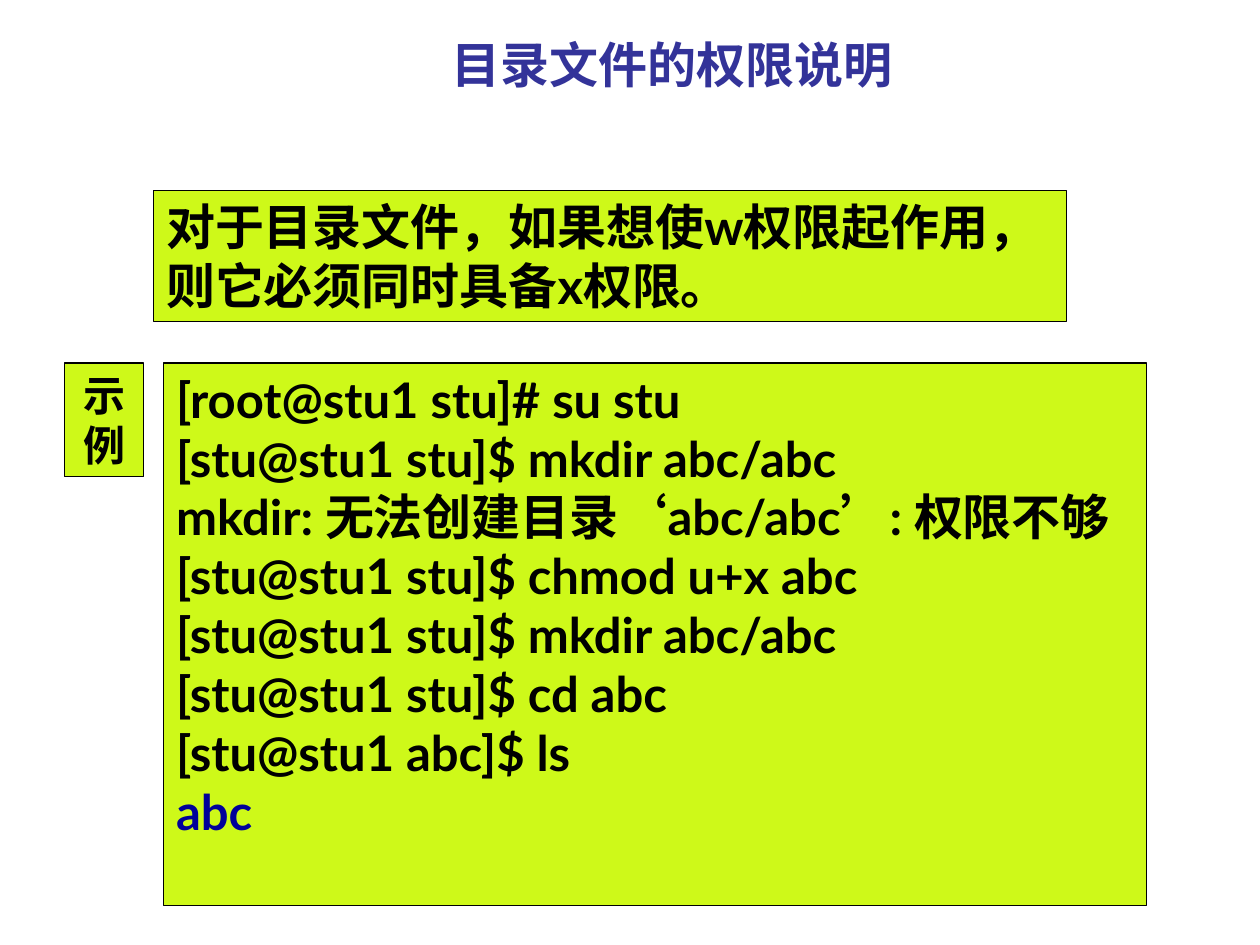
"""Build the slide on directory permissions."""
import dataclasses

import pptx
import pptx.dml.color
import pptx.enum.shapes
import pptx.enum.text
import pptx.util

Cm = pptx.util.Cm
Align = pptx.enum.text.PP_ALIGN
Anchor = pptx.enum.text.MSO_ANCHOR


@dataclasses.dataclass(frozen=True)
class Theme:
    heading: str = "333399"
    text: str = "000000"
    directory: str = "000099"
    panel: str = "CEF919"
    body_font: str = "Lato"
    serif_font: str = "Times New Roman"
    large: int = 28
    small: int = 24
    border: float = 0.75


class SlideBuilder:
    def __init__(self, slide, theme):
        self.slide = slide
        self.theme = theme

    def format_run(self, run, size, color, font):
        run.font.size = pptx.util.Pt(size)
        run.font.bold = True
        run.font.name = font
        run.font.color.rgb = pptx.dml.color.RGBColor.from_string(color)

    def title(self, text, left, top, width, height):
        shape = self.slide.shapes.add_textbox(Cm(left), Cm(top), Cm(width), Cm(height))
        frame = shape.text_frame
        frame.word_wrap = True
        frame.vertical_anchor = Anchor.MIDDLE
        frame.text = text
        paragraph = frame.paragraphs[0]
        paragraph.alignment = Align.CENTER
        self.format_run(paragraph.runs[0], self.theme.large, self.theme.heading,
                        self.theme.serif_font)

    def panel(self, lines, left, top, width, height, size, alignment=Align.LEFT):
        shape = self.slide.shapes.add_shape(
            pptx.enum.shapes.MSO_SHAPE.RECTANGLE, Cm(left), Cm(top), Cm(width), Cm(height))
        shape.shadow.inherit = False
        shape.fill.solid()
        shape.fill.fore_color.rgb = pptx.dml.color.RGBColor.from_string(self.theme.panel)
        shape.line.color.rgb = pptx.dml.color.RGBColor.from_string(self.theme.text)
        shape.line.width = pptx.util.Pt(self.theme.border)
        frame = shape.text_frame
        frame.word_wrap = True
        frame.vertical_anchor = Anchor.TOP
        for index, pieces in enumerate(lines):
            paragraph = frame.add_paragraph() if index else frame.paragraphs[0]
            paragraph.alignment = alignment
            for piece in pieces:
                run = paragraph.add_run()
                run.text = piece
                is_quote = piece in ("‘", "’")
                font = self.theme.serif_font if is_quote else self.theme.body_font
                self.format_run(run, size, self.theme.text, font)
        return shape


def main():
    presentation = pptx.Presentation()
    presentation.slide_width, presentation.slide_height = Cm(25.4), Cm(19.05)
    slide = presentation.slides.add_slide(presentation.slide_layouts[6])
    theme = Theme()
    builder = SlideBuilder(slide, theme)

    builder.title("目录文件的权限说明", 1.7, 0.53, 23.7, 1.52)
    builder.panel([["对于目录文件，如果想使w权限起作用，则它必须同时具备x权限。"]],
                  3.1, 3.84, 18.4, 2.64, theme.large)
    example_top = 7.32
    terminal = builder.panel([
        ["[root@stu1 stu]# su stu"],
        ["[stu@stu1 stu]$ mkdir abc/abc"],
        ["mkdir: 无法创建目录", "‘", "abc/abc", "’", ": 权限不够"],
        ["[stu@stu1 stu]$ chmod u+x abc"],
        ["[stu@stu1 stu]$ mkdir abc/abc"],
        ["[stu@stu1 stu]$ cd abc"],
        ["[stu@stu1 abc]$ ls"],
        ["abc"],
    ], 3.3, example_top, 19.81, 10.94, theme.large)
    listing = terminal.text_frame.paragraphs[-1].runs[0]
    builder.format_run(listing, theme.large, theme.directory, theme.body_font)
    builder.panel([["示例"]], 1.3, example_top, 1.6, 2.29, theme.small, Align.CENTER)

    presentation.save("out.pptx")


if __name__ == "__main__":
    main()
